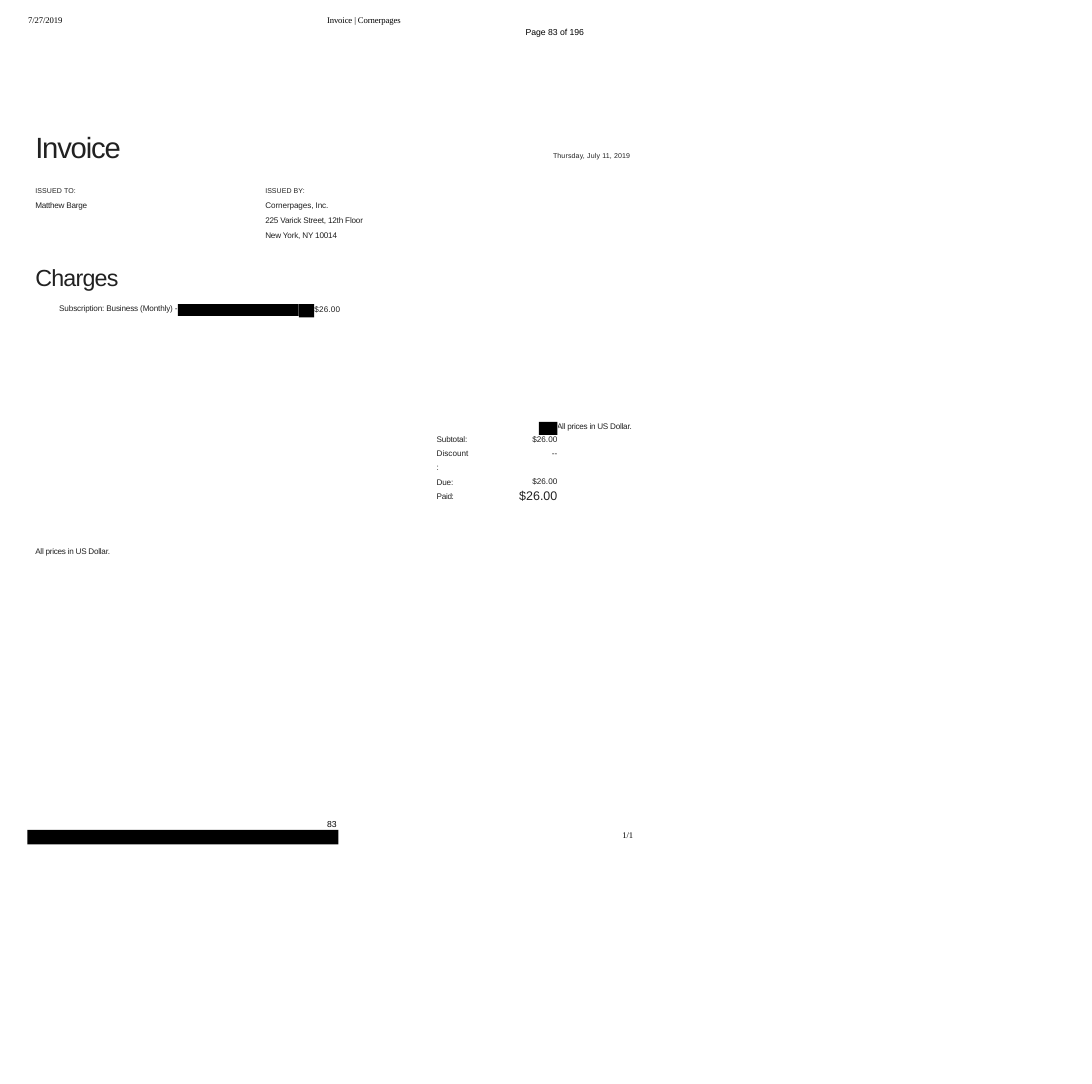
import pptx
import pptx.dml.color
import pptx.enum.shapes
import pptx.enum.text
import pptx.util

Cm, Pt = pptx.util.Cm, pptx.util.Pt
RIGHT = pptx.enum.text.PP_ALIGN.RIGHT
GREY, BLACK = "212121", "000000"
SANS, SERIF = "Arial", "Times New Roman"


def color(code):
    return pptx.dml.color.RGBColor.from_string(code)


def line(words, size=7.5, track=0, gap=0, lead=None, left=0, align=None):
    return dict(words=words, size=size, track=track, gap=gap,
                lead=lead, left=left, align=align)


class Page:
    def __init__(self, slide, face=SANS, ink=GREY):
        self.slide, self.face, self.ink = slide, face, ink

    def typeset(self, frame, lines, face=None, ink=None):
        """Fill a text frame with styled lines."""
        for i, item in enumerate(lines):
            par = frame.paragraphs[0] if i == 0 else frame.add_paragraph()
            par.text = item["words"]
            par.alignment = item["align"]
            par.space_before = Pt(item["gap"])
            if item["lead"]:
                par.line_spacing = item["lead"]
            if item["left"]:
                par._p.get_or_add_pPr().set("marL", str(Cm(item["left"])))
            for run in par.runs:
                run.font.size = Pt(item["size"])
                run.font.name = face or self.face
                run.font.color.rgb = color(ink or self.ink)
                # Letter spacing, in hundredths of a point
                run._r.get_or_add_rPr().set("spc", str(round(item["track"] * 100)))

    def text(self, x, y, w, h, *lines, top=0.04, face=None, ink=None):
        box = self.slide.shapes.add_textbox(Cm(x), Cm(y), Cm(w), Cm(h))
        frame = box.text_frame
        frame.word_wrap = True
        frame.auto_size = pptx.enum.text.MSO_AUTO_SIZE.SHAPE_TO_FIT_TEXT
        frame.margin_left, frame.margin_top = Cm(0.03), Cm(top)
        frame.margin_right = frame.margin_bottom = 0
        self.typeset(frame, lines, face, ink)

    def bar(self, x, y, w, h):
        kind = pptx.enum.shapes.MSO_SHAPE.RECTANGLE
        box = self.slide.shapes.add_shape(kind, Cm(x), Cm(y), Cm(w), Cm(h))
        box.shadow.inherit = False
        box.fill.solid()
        box.fill.fore_color.rgb = color(BLACK)
        box.line.fill.background()

    def table(self, x, y, cols, rows, cells):
        """Each cell is (top margin, right margin, lines)."""
        grid = self.slide.shapes.add_table(
            len(rows), len(cols), Cm(x), Cm(y), Cm(sum(cols)), Cm(sum(rows))).table
        grid.first_row = grid.horz_banding = False
        for col, width in zip(grid.columns, cols):
            col.width = Cm(width)
        for row, height, data in zip(grid.rows, rows, cells):
            row.height = Cm(height)
            for cell, (top, right, lines) in zip(row.cells, data):
                cell.fill.background()
                cell.margin_left = cell.margin_bottom = 0
                cell.margin_top, cell.margin_right = Cm(top), Cm(right)
                self.typeset(cell.text_frame, lines)


def main():
    deck = pptx.Presentation()
    deck.slide_width, deck.slide_height = Cm(35.56), Cm(35.31)
    page = Page(deck.slides.add_slide(deck.slide_layouts[6]))

    # Page header
    page.text(0.89, 0.46, 1.22, 0.41, line("7/27/2019", 8, -0.1),
              top=0.03, face=SERIF, ink=BLACK)
    page.text(10.62, 0.46, 2.51, 0.41, line("Invoice | Cornerpages", 8, -0.1),
              top=0.03, face=SERIF, ink=BLACK)
    page.text(17.09, 0.86, 1.98, 0.41, line("Page 83 of 196", 8, -0.06),
              top=0.03, ink=BLACK)

    # Invoice title, parties and date
    page.text(8.61, 5.87, 3.28, 2.01,
              line("ISSUED BY:", 6.5, 0.05),
              line("Cornerpages, Inc.", track=-0.12, gap=5.4),
              line("225 Varick Street, 12th Floor New York, NY 10014",
                   track=-0.2, lead=1.52),
              top=0.2)
    page.text(1.12, 4.17, 2.84, 2.72,
              line("Invoice", 27, -1.1),
              line("ISSUED TO:", 6.5, 0.1, gap=20.3),
              line("Matthew Barge", track=-0.25, gap=5.4))
    page.text(17.98, 4.88, 2.64, 0.36, line("Thursday, July 11, 2019", 6.5, 0.13))

    # Charges
    page.text(1.12, 8.53, 4.67, 1.7,
              line("Charges", 21.5, -0.7),
              line("Subscription: Business (Monthly) -", track=-0.18,
                   gap=11.1, left=0.78))
    page.text(10.21, 9.86, 0.89, 0.41, line("$26.00", track=0.1))
    page.bar(5.79, 9.91, 3.94, 0.38)
    page.bar(9.73, 9.91, 0.5, 0.43)

    # Currency notes
    for x, y in ((1.12, 17.75), (18.11, 13.69)):
        page.text(x, y, 2.51, 0.41, line("All prices in US Dollar.", track=-0.25))

    # Totals
    page.table(14.22, 13.74, (1.73, 2.2), (1.35, 0.43, 0.51), (
        ((0.28, 0.66, [line("Subtotal:", track=-0.2, lead=1.52),
                       line("Discount:", lead=1.52)]),
         (0.44, 0, [line("$26.00", align=RIGHT),
                    line("--", gap=4.7, align=RIGHT)])),
        ((0.1, 0, [line("Due:", track=-0.2)]),
         (0.08, 0, [line("$26.00", align=RIGHT)])),
        ((0.14, 0, [line("Paid:", track=-0.3)]),
         (0.03, 0, [line("$26.00", 11.5, lead=Pt(12.9), align=RIGHT)])),
    ))
    page.bar(17.55, 13.74, 0.6, 0.43)

    # Page footer
    page.bar(0.89, 27.03, 10.13, 0.48)
    page.text(10.57, 26.67, 0.46, 0.38, line("83", 8, left=0.05), top=0, ink=BLACK)
    page.text(20.24, 27.08, 0.43, 0.36, line("1/1", 8, -0.1, lead=Pt(8.6)),
              top=0, face=SERIF, ink=BLACK)

    deck.save("out.pptx")


if __name__ == "__main__":
    main()
